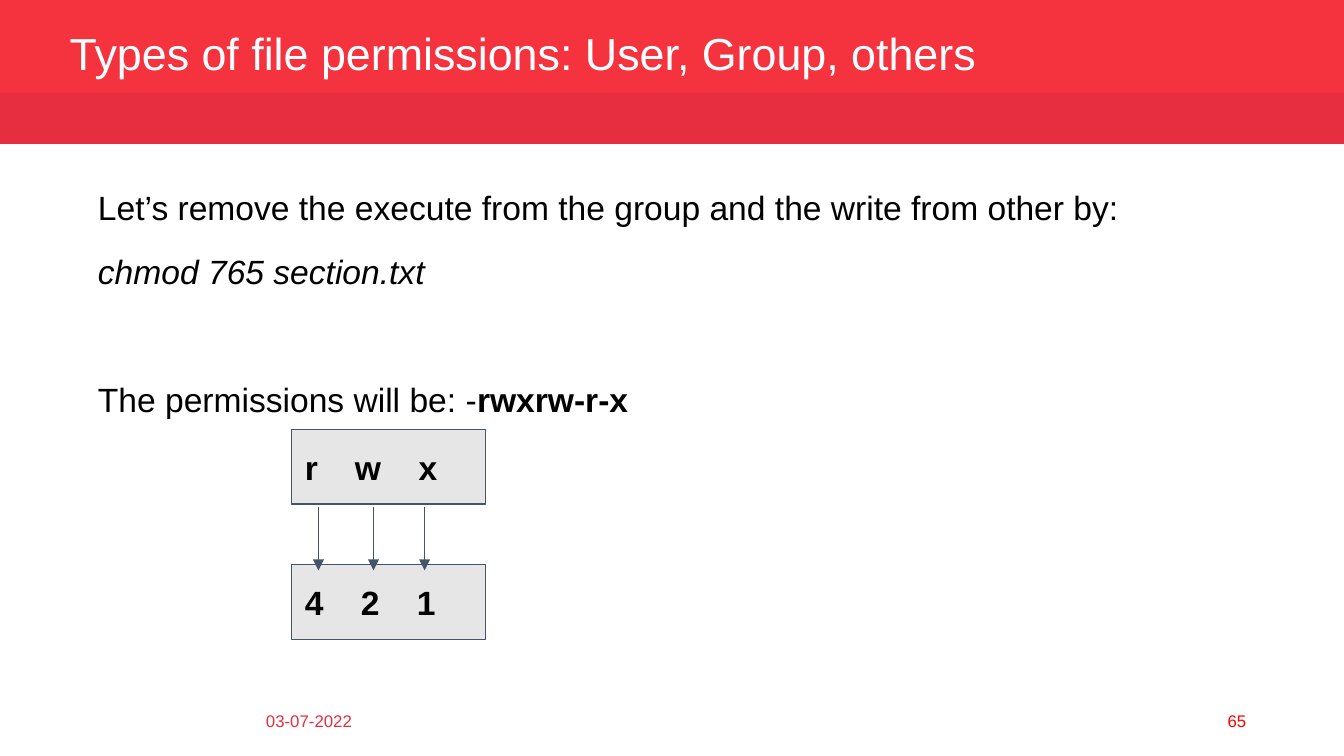
from lxml import etree
from pptx import Presentation
from pptx.dml.color import RGBColor
from pptx.enum.shapes import MSO_CONNECTOR, MSO_SHAPE
from pptx.enum.text import MSO_ANCHOR, PP_ALIGN
from pptx.oxml.ns import qn
from pptx.util import Pt

RECTANGLE = MSO_SHAPE.RECTANGLE
STRAIGHT = MSO_CONNECTOR.STRAIGHT
MIDDLE = MSO_ANCHOR.MIDDLE
TOP = MSO_ANCHOR.TOP
LEFT = PP_ALIGN.LEFT
RIGHT = PP_ALIGN.RIGHT
BLANK_LAYOUT = 6
BLACK, WHITE, RED, CRIMSON, SLATE, GRAY = (
    "000000", "FFFFFF", "F5333F", "E72D40", "44546A", "E7E6E6")


def color(hex_string):
    return RGBColor.from_string(hex_string)


def add_rectangle(slide, left, top, width, height, fill, line=None):
    shape = slide.shapes.add_shape(
        RECTANGLE, Pt(left), Pt(top), Pt(width), Pt(height))
    shape.shadow.inherit = False
    shape.fill.solid()
    shape.fill.fore_color.rgb = color(fill)
    if line:
        shape.line.color.rgb = color(line)
        shape.line.width = Pt(0.75)
    else:
        shape.line.fill.background()
    return shape


def add_run(paragraph, text, size, hex_string, bold=False, italic=False):
    run = paragraph.add_run()
    run.text = text
    run.font.name = "Arial"
    run.font.size = Pt(size)
    run.font.bold = bold
    run.font.italic = italic
    run.font.color.rgb = color(hex_string)


def add_text_box(slide, left, top, width, height, anchor=MIDDLE):
    text_box = slide.shapes.add_textbox(Pt(left), Pt(top), Pt(width), Pt(height))
    frame = text_box.text_frame
    frame.word_wrap = True
    frame.vertical_anchor = anchor
    return frame


def add_header(slide, left, top, width):
    add_rectangle(slide, left, top, width, 50.4, RED)
    title = add_text_box(slide, left + 30.24, top + 10.08, 581, 40.3)
    paragraph = title.paragraphs[0]
    paragraph.line_spacing = 0.9
    add_run(paragraph, "Types of file permissions: User, Group, others", 24, WHITE)
    add_rectangle(slide, left, top + 49.9, width, 27.2, CRIMSON)


def add_body(slide, left, top, width, height):
    frame = add_text_box(slide, left, top, width, height, TOP)
    first = frame.paragraphs[0]
    add_run(first, "Let’s remove the execute from the group and the write from other by:",
            18, BLACK)
    command = frame.add_paragraph()
    command.space_before = Pt(13)
    add_run(command, "chmod 765 section.txt", 18, BLACK, italic=True)
    result = frame.add_paragraph()
    result.space_before = Pt(46.8)
    add_run(result, "The permissions will be: -", 18, BLACK)
    add_run(result, "rwxrw-r-x", 18, BLACK, bold=True)


def add_symbol_row(slide, left, top, width, height, symbols, tab_positions):
    shape = add_rectangle(slide, left, top, width, height, GRAY, SLATE)
    frame = shape.text_frame
    frame.vertical_anchor = MIDDLE
    frame.margin_top = frame.margin_bottom = Pt(7.2)
    paragraph = frame.paragraphs[0]
    paragraph.alignment = LEFT
    tab_list = etree.SubElement(paragraph._p.get_or_add_pPr(), qn("a:tabLst"))
    for position in tab_positions:
        etree.SubElement(tab_list, qn("a:tab"), pos=str(Pt(position)), algn="l")
    add_run(paragraph, "\t".join(symbols), 18, BLACK, bold=True)


def add_arrow(slide, x, top, bottom):
    connector = slide.shapes.add_connector(
        STRAIGHT, Pt(x), Pt(top), Pt(x), Pt(bottom))
    connector.line.color.rgb = color(SLATE)
    connector.line.width = Pt(0.75)
    etree.SubElement(connector.line._get_or_add_ln(), qn("a:tailEnd"), type="triangle")
    etree.SubElement(connector._element.spPr, qn("a:effectLst"))


def add_permission_diagram(slide, left, top, width, height):
    row_height = 40.1
    add_symbol_row(slide, left, top, width, row_height, "rwx", (26.8, 61))
    add_symbol_row(slide, left, top + height - row_height, width, row_height,
                   "421", (30, 60))
    for offset in (14.4, 43.9, 71.3):
        add_arrow(slide, left + offset, top + 41.8, top + 75.6)


def add_footer(slide, left, top, width, height):
    items = (("03-07-2022", left, LEFT, CRIMSON),
             ("65", left + width - 162, RIGHT, "FF0000"))
    for text, item_left, alignment, hex_string in items:
        frame = add_text_box(slide, item_left, top, 162, height)
        paragraph = frame.paragraphs[0]
        paragraph.alignment = alignment
        add_run(paragraph, text, 9, hex_string)


def main():
    presentation = Presentation()
    presentation.slide_width = Pt(720)
    presentation.slide_height = Pt(405)
    slide = presentation.slides.add_slide(presentation.slide_layouts[BLANK_LAYOUT])
    add_header(slide, 0, 0, 720)
    add_body(slide, 45.4, 96.5, 629.3, 252.7)
    add_permission_diagram(slide, 156.2, 230, 103.9, 112.6)
    add_footer(slide, 135.4, 375.2, 539.3, 21.6)
    presentation.save("out.pptx")


if __name__ == "__main__":
    main()
